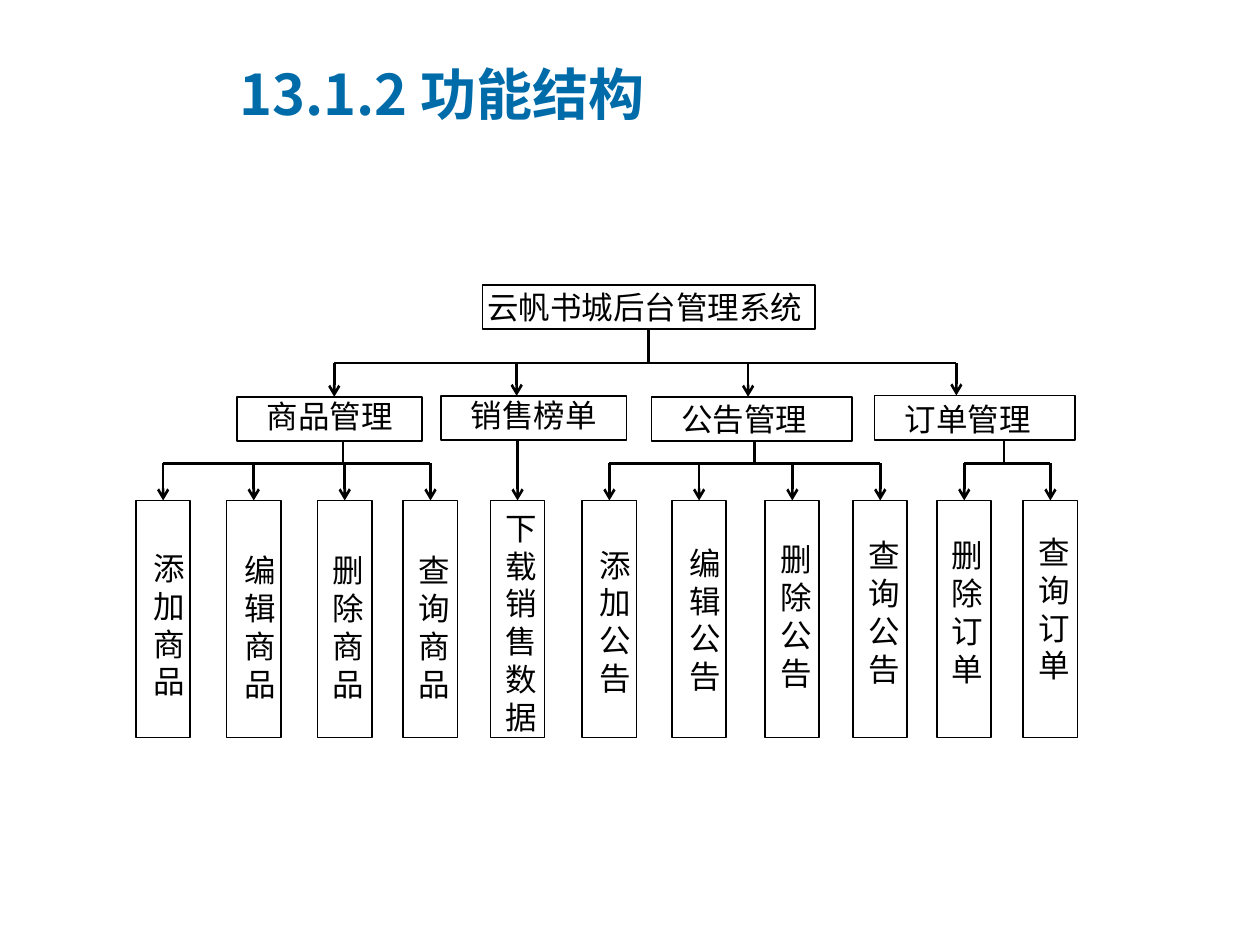
from dataclasses import dataclass

from lxml import etree
from pptx import Presentation
from pptx.dml.color import RGBColor
from pptx.enum.shapes import MSO_CONNECTOR, MSO_SHAPE
from pptx.enum.text import MSO_ANCHOR
from pptx.oxml.ns import qn
from pptx.util import Pt

RECT = MSO_SHAPE.RECTANGLE
LINE = MSO_CONNECTOR.STRAIGHT
TOP, MIDDLE = MSO_ANCHOR.TOP, MSO_ANCHOR.MIDDLE
ABOVE, BELOW = 0, 2


@dataclass(frozen=True)
class Theme:
    """Colours, fonts, type sizes and line widths."""
    ink: RGBColor = RGBColor(0, 0, 0)
    blue: RGBColor = RGBColor(0x00, 0x6B, 0xA9)
    font: str = "Arial"
    head: str = "Noto Sans CJK SC"
    size: float = 18
    big: float = 32
    edge: float = 1
    wire: float = 1.5


THEME = Theme()
BUS, RAIL = 207.5, 264.75
LEAF_TOP, LEAF_W, LEAF_H = 286, 31, 135.5
ROOT = ("云帆书城后台管理系统", (275.75, 162.75, 190, 25.25), (271.5, 161.25, 202.5, 29))
UNITS = [
    ("商品管理", (135.25, 226.75, 106, 25.25), (145.5, 223.25, 102, 29), 191, 196, [
        ("添加商品", 77.75, 3, 310.25), ("编辑商品", 129.5, 3, 311.5),
        ("删除商品", 181.5, 1.5, 311.5), ("查询商品", 230.5, 1.5, 311.5)]),
    ("销售榜单", (252, 226.25, 106, 25.25), (262, 222.75, 102, 29), 295.25, 295.75, [
        ("下载销售数据", 280.25, 1.5, 287.25)]),
    ("公告管理", (372.25, 226.75, 114.5, 25.25), (382.25, 225.25, 94.5, 29), 427.5, 431.25, [
        ("添加公告", 332.75, 3, 308.25), ("编辑公告", 384, 3, 307.25),
        ("删除公告", 437.25, 1.5, 305.25), ("查询公告", 487.5, 1.5, 303)]),
    ("订单管理", (499.75, 226, 114.5, 25.25), (510, 224.75, 94.5, 29), 546.5, 573.75, [
        ("删除订单", 535.5, 1, 303), ("查询订单", 584.75, 1.5, 301)]),
]


def text(slide, words, area, style, anchor=TOP):
    """Add a wrapped text box and return its paragraph."""
    frame = slide.shapes.add_textbox(*map(Pt, area)).text_frame
    frame.word_wrap = True
    frame.vertical_anchor = anchor
    para = frame.paragraphs[0]
    run = para.add_run()
    run.text = words
    run.font.color.rgb = style.pop("ink")
    for key, value in style.items():
        setattr(run.font, key, value)
    east = etree.SubElement(run._r.get_or_add_rPr(), qn("a:ea"))
    east.set("typeface", style["name"])
    return para


def label(slide, words, area):
    """Add body text."""
    text(slide, words, area,
         {"ink": THEME.ink, "name": THEME.font, "size": Pt(THEME.size)})


def box(slide, area):
    """Add an outlined rectangle."""
    shape = slide.shapes.add_shape(RECT, *map(Pt, area))
    shape.shadow.inherit = False
    shape.fill.background()
    shape.line.color.rgb = THEME.ink
    shape.line.width = Pt(THEME.edge)
    return shape


def wire(slide, start, end, arrow=False):
    """Add a straight line, with an arrowhead on request."""
    link = slide.shapes.add_connector(LINE, *map(Pt, (*start, *end)))
    link.line.color.rgb = THEME.ink
    link.line.width = Pt(THEME.wire)
    if arrow:
        tail = etree.SubElement(link.line._get_or_add_ln(), qn("a:tailEnd"))
        tail.set("type", "arrow")
    etree.SubElement(link._element.spPr, qn("a:effectLst"))
    return link


def leaf(slide, words, left, shift, top, start):
    """Add an upright box with its arrow and return its centre."""
    shape = box(slide, (left, LEAF_TOP, LEAF_W, LEAF_H))
    label(slide, words, (left + shift, top, 28, 94.5))
    mid = left + LEAF_W / 2
    link = wire(slide, (mid, start), (mid, LEAF_TOP), True)
    link.end_connect(shape, ABOVE)
    return mid


def unit(slide, words, area, place, entry, stem, leaves):
    """Add one module, its inlet and its leaves."""
    box(slide, area)
    label(slide, words, place)
    wire(slide, (entry, BUS), (entry, area[1]), True)
    base = area[1] + area[3]
    split = len(leaves) > 1
    mids = [leaf(slide, *item, RAIL if split else base) for item in leaves]
    if split:
        wire(slide, (stem, base), (stem, RAIL))
        wire(slide, (mids[0], RAIL), (mids[-1], RAIL))


def root(slide):
    """Add the system box and the line that feeds all modules."""
    words, area, place = ROOT
    shape = box(slide, area)
    label(slide, words, place)
    mid = area[0] + area[2] / 2
    stem = wire(slide, (mid, area[1] + area[3]), (mid, BUS))
    stem.begin_connect(shape, BELOW)
    wire(slide, (UNITS[0][3], BUS), (UNITS[-1][3], BUS))


def title(slide):
    """Add the heading with its hanging indent."""
    style = {"ink": THEME.blue, "name": THEME.head, "size": Pt(THEME.big), "bold": True}
    para = text(slide, "13.1.2 功能结构", (129.5, 31, 389.5, 44), style, MIDDLE)
    props = para._p.get_or_add_pPr()
    for key, value in {"marL": 45, "indent": -45}.items():
        props.set(key, str(Pt(value)))


def main():
    """Build and save the slide."""
    deck = Presentation()
    deck.slide_width, deck.slide_height = Pt(720), Pt(540)
    slide = deck.slides.add_slide(deck.slide_layouts[6])
    title(slide)
    root(slide)
    for item in UNITS:
        unit(slide, *item)
    deck.save("out.pptx")


if __name__ == "__main__":
    main()
